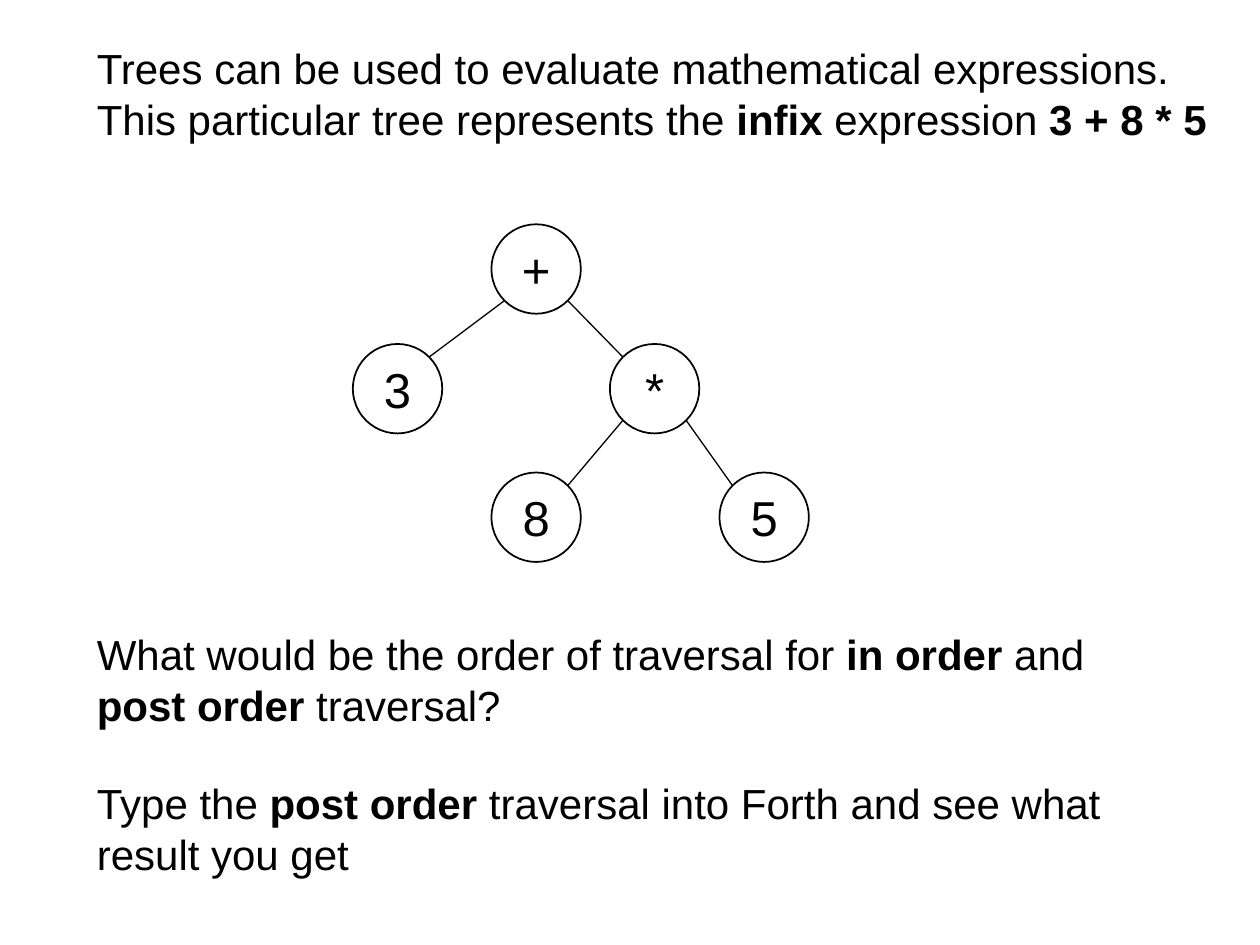
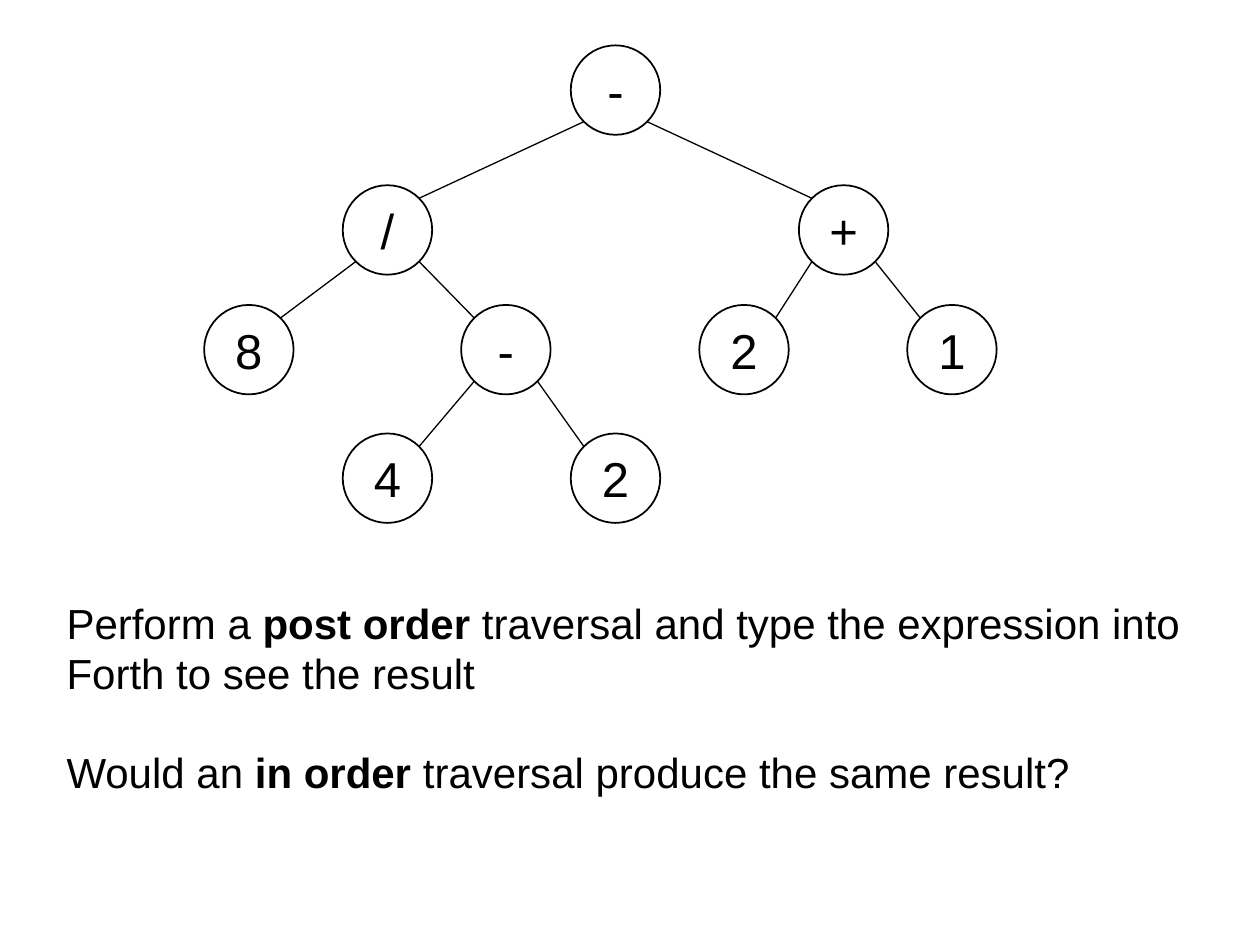
import dataclasses
import math

import pptx
import pptx.dml.color
import pptx.enum.shapes
import pptx.enum.text
import pptx.util

Inches = pptx.util.Inches
Pt = pptx.util.Pt


@dataclasses.dataclass(frozen=True)
class Theme:
    ink: pptx.dml.color.RGBColor = pptx.dml.color.RGBColor(0, 0, 0)
    paper: pptx.dml.color.RGBColor = pptx.dml.color.RGBColor(255, 255, 255)
    font: str = "Arial"
    body_size: float = 24
    symbol_size: float = 28
    paragraph_gap: float = 27.6  # one line of body text
    circle_line: float = 1
    branch_line: float = 0.75
    circle: float = 0.71


THEME = Theme()


@dataclasses.dataclass(frozen=True)
class Node:
    """A symbol, its offset from its parent in inches, and its subtrees."""
    symbol: str
    dx: float = 0
    dy: float = 0
    children: tuple = ()


def nested_right(root, left, operator, operands, dx=0, dy=0):
    """Expression whose right operand is itself an operation."""
    first, second = operands
    inner = Node(operator, 0.94, 0.95,
                 (Node(first, -0.94, 1.02), Node(second, 0.87, 1.02)))
    return Node(root, dx, dy, (Node(left, -1.1, 0.95), inner))


def write(frame, *paragraphs, size=THEME.body_size, align=None, gap=0):
    """Fill a text frame; words between double asterisks are bold."""
    frame.word_wrap = True
    for index, text in enumerate(paragraphs):
        paragraph = frame.add_paragraph() if index else frame.paragraphs[0]
        paragraph.alignment = align
        paragraph.space_before = Pt(gap if index else 0)
        for part, words in enumerate(text.split("**")):
            if words:
                run = paragraph.add_run()
                run.text = words
                run.font.name = THEME.font
                run.font.size = Pt(size)
                run.font.bold = part % 2 == 1
                run.font.color.rgb = THEME.ink


def draw_text(slide, box, *paragraphs):
    frame = slide.shapes.add_textbox(*map(Inches, box)).text_frame
    write(frame, *paragraphs, gap=THEME.paragraph_gap)


def draw_branch(slide, start, end):
    branch = slide.shapes.add_connector(
        pptx.enum.shapes.MSO_CONNECTOR.STRAIGHT, *map(Inches, start + end))
    branch.line.color.rgb = THEME.ink
    branch.line.width = Pt(THEME.branch_line)
    properties = branch._element.spPr
    properties.append(properties.makeelement(
        pptx.oxml.ns.qn("a:effectLst"), {}))


def draw_tree(slide, node, left, top):
    """Draw a node with its circle at left, top, then its subtrees."""
    circle = slide.shapes.add_shape(
        pptx.enum.shapes.MSO_SHAPE.OVAL,
        *map(Inches, (left, top, THEME.circle, THEME.circle)))
    circle.shadow.inherit = False
    circle.fill.background()
    circle.line.color.rgb = THEME.ink
    circle.line.width = Pt(THEME.circle_line)
    circle.text_frame.vertical_anchor = pptx.enum.text.MSO_ANCHOR.MIDDLE
    write(circle.text_frame, node.symbol, size=THEME.symbol_size,
          align=pptx.enum.text.PP_ALIGN.CENTER)

    # Branches run between the diagonal points of the two circles
    radius = THEME.circle / 2
    reach = radius * math.sqrt(0.5)
    for child in node.children:
        side = math.copysign(reach, child.dx)
        child_left, child_top = left + child.dx, top + child.dy
        draw_branch(slide,
                    (left + radius + side, top + radius + reach),
                    (child_left + radius - side, child_top + radius - reach))
        draw_tree(slide, child, child_left, child_top)


def add_slide(deck):
    slide = deck.slides.add_slide(deck.slide_layouts[6])
    slide.background.fill.solid()
    slide.background.fill.fore_color.rgb = THEME.paper
    return slide


def build_infix_slide(deck):
    slide = add_slide(deck)
    # Introduction
    draw_text(slide, (0.67, 0.29, 9.06, 0.91),
              "Trees can be used to evaluate mathematical expressions. "
              "This particular tree represents the **infix** expression "
              "**3 + 8 * 5**")
    # Expression tree
    draw_tree(slide, nested_right("+", "3", "*", "85"), 3.9, 1.78)
    # Questions
    draw_text(slide, (0.67, 4.94, 8.58, 2.12),
              "What would be the order of traversal for **in order **and "
              "**post order **traversal?",
              "Type the **post order** traversal into Forth and see what "
              "result you get")


def build_exercise_slide(deck):
    slide = add_slide(deck)
    # Expression tree
    quotient = nested_right("/", "8", "-", "42", dx=-1.81, dy=1.11)
    total = Node("+", 1.81, 1.11,
                 (Node("2", -0.79, 0.95), Node("1", 0.86, 0.95)))
    draw_tree(slide, Node("-", children=(quotient, total)), 4.53, 0.36)
    # Questions
    draw_text(slide, (0.43, 4.69, 9.57, 1.72),
              "Perform a **post order **traversal and type the expression "
              "into Forth to see the result",
              "Would an **in order **traversal produce the same result?")


def main():
    deck = pptx.Presentation()
    deck.slide_width, deck.slide_height = Inches(10), Inches(7.5)
    build_infix_slide(deck)
    build_exercise_slide(deck)
    deck.save("out.pptx")


if __name__ == "__main__":
    main()
